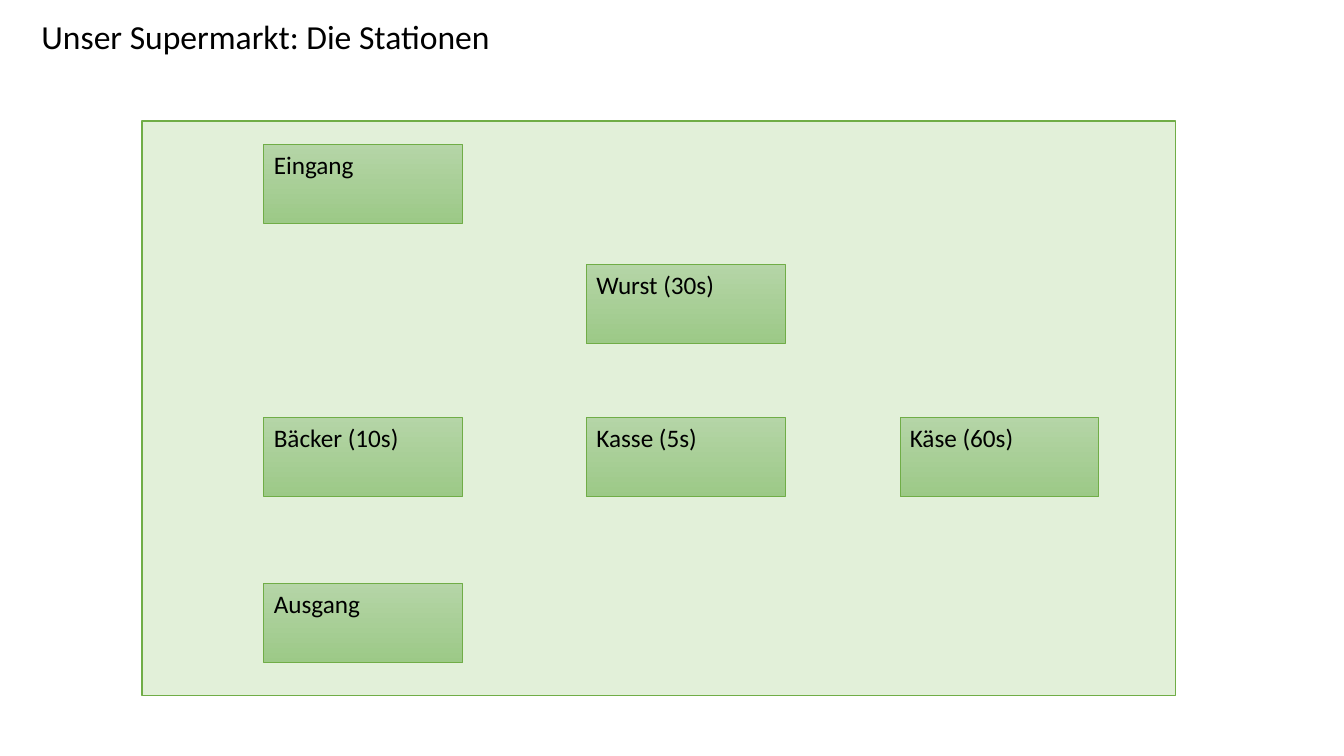
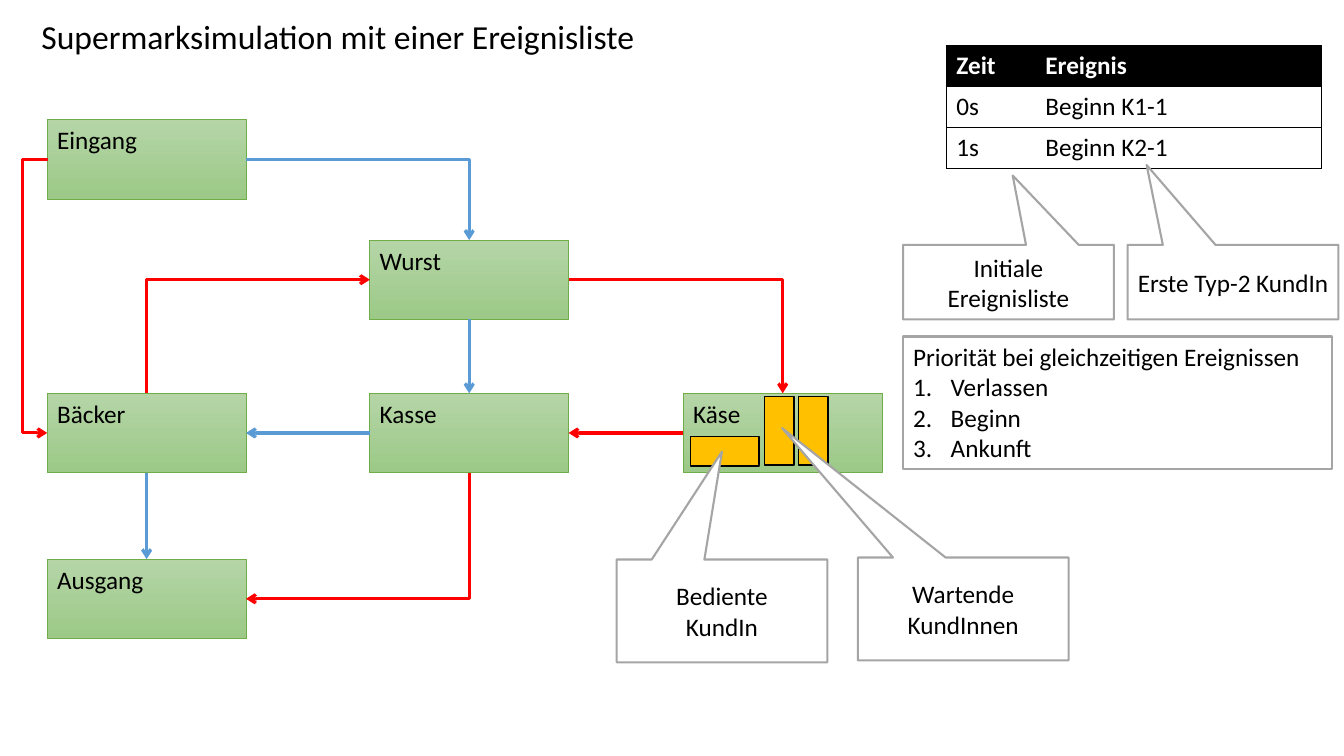
"""Build two slides on a supermarket simulation: the stations and the event list."""
from lxml.etree import SubElement
from pptx import Presentation
from pptx.dml.color import RGBColor
from pptx.enum.shapes import MSO_CONNECTOR, MSO_SHAPE
from pptx.enum.text import MSO_ANCHOR, PP_ALIGN
from pptx.oxml.ns import qn
from pptx.util import Cm, Pt

BLACK = RGBColor(0x00, 0x00, 0x00)
WHITE = RGBColor(0xFF, 0xFF, 0xFF)
GREEN = RGBColor(0x70, 0xAD, 0x47)
PALE_GREEN = RGBColor(0xE2, 0xF0, 0xD9)
GRADIENT = (RGBColor(0xB5, 0xD5, 0xA7), RGBColor(0x9C, 0xC9, 0x87))
BLUE = RGBColor(0x5B, 0x9B, 0xD5)
RED = RGBColor(0xFF, 0x00, 0x00)
GOLD = RGBColor(0xFF, 0xC0, 0x00)
GRAY = RGBColor(0xA5, 0xA5, 0xA5)
FONT = "Calibri"
PLAIN_TABLE_STYLE = "{2D5ABB26-0587-4C30-8999-92F81FD0307C}"

TITLES = ("Unser Supermarkt: Die Stationen", "Supermarksimulation mit einer Ereignisliste")
TITLE_BOX = (0.79, 0.28, 32.44, 1.4)
MARKET_BOX = (3.58, 3.05, 26.04, 14.48)

COLUMNS = (0, 8.13, 16.03)
ROWS = (0, 3.03, 6.89, 11.07)
STATION_SIZE = (5.01, 2.0)
STATIONS = {
    "Bäcker": (0, 2), "Eingang": (0, 0), "Wurst": (1, 1),
    "Käse": (2, 2), "Kasse": (1, 2), "Ausgang": (0, 3),
}
DURATIONS = {"Bäcker": " (10s)", "Wurst": " (30s)", "Käse": " (60s)", "Kasse": " (5s)"}
MARKET_ORIGIN = (6.65, 3.63)
FLOW_ORIGIN = (1.19, 3.02)

SIDES = {"left": (0, 0.5), "right": (1, 0.5), "top": (0.5, 0), "bottom": (0.5, 1)}
ROUTES = [
    ("Eingang", "right", "Wurst", "top", BLUE),
    ("Wurst", "bottom", "Kasse", "top", BLUE),
    ("Wurst", "right", "Käse", "top", RED),
    ("Käse", "left", "Kasse", "right", RED),
    ("Kasse", "left", "Bäcker", "right", BLUE),
    ("Bäcker", "bottom", "Ausgang", "top", BLUE),
    ("Bäcker", "top", "Wurst", "left", RED),
    ("Eingang", "left", "Bäcker", "left", RED),
    ("Kasse", "bottom", "Ausgang", "right", RED),
]
DETOUR = 0.62
DETOUR_OFFSET = 0.03

CUSTOMERS = [(17.4, 11, 1.73, 0.74), (19.27, 9.99, 0.74, 1.73), (20.13, 9.99, 0.74, 1.73)]
CALLOUTS = [
    ("Initiale Ereignisliste", (22.76, 6.17, 5.31, 1.88), (0.02, -1.43)),
    ("Erste Typ-2 KundIn", (28.42, 6.17, 5.31, 1.88), (-0.41, -1.57)),
    ("Bediente\nKundIn", (15.54, 14.1, 5.31, 2.59), (0, -1.55)),
    ("Wartende\nKundInnen", (21.62, 14.05, 5.31, 2.59), (-0.86, -1.76)),
]
PRIORITY_BOX = (22.76, 8.48, 10.82, 3.33)
PRIORITIES = ["Priorität bei gleichzeitigen Ereignissen", "Verlassen", "Beginn", "Ankunft"]
EVENTS = [("Zeit", "Ereignis"), ("0s", "Beginn K1-1"), ("1s", "Beginn K2-1")]
EVENT_POSITION = (23.85, 1.14)
EVENT_COLUMNS = (2.24, 7.21)
EVENT_ROW = 1.03


def lengths(values):
    return [Cm(value) for value in values]


def write(text_frame, text, size=18, color=BLACK, align=PP_ALIGN.LEFT, bold=False):
    text_frame.text = text
    for paragraph in text_frame.paragraphs:
        paragraph.alignment = align
        for run in paragraph.runs:
            font = run.font
            font.name, font.size, font.bold = FONT, Pt(size), bold
            font.color.rgb = color


def add_titled_slide(presentation, title):
    slide = presentation.slides.add_slide(presentation.slide_layouts[5])
    placeholder = slide.shapes.title
    placeholder.left, placeholder.top, placeholder.width, placeholder.height = lengths(TITLE_BOX)
    write(placeholder.text_frame, title, 24)
    placeholder.text_frame.vertical_anchor = MSO_ANCHOR.MIDDLE
    placeholder.text_frame.paragraphs[0].line_spacing = 0.9
    return slide


def add_box(slide, box, fill, line, width, kind=MSO_SHAPE.RECTANGLE):
    shape = slide.shapes.add_shape(kind, *lengths(box))
    shape.shadow.inherit = False
    if isinstance(fill, RGBColor):
        shape.fill.solid()
        shape.fill.fore_color.rgb = fill
    else:
        shape.fill.gradient()
        shape.fill.gradient_angle = 270
        for stop, color in zip(shape.fill.gradient_stops, fill):
            stop.color.rgb = color
    shape.line.color.rgb = line
    shape.line.width = Pt(width)
    shape.text_frame.word_wrap = True
    return shape


def station_corner(name, origin):
    column, row = STATIONS[name]
    return origin[0] + COLUMNS[column], origin[1] + ROWS[row]


def add_stations(slide, origin, suffixes):
    for name in STATIONS:
        shape = add_box(slide, (*station_corner(name, origin), *STATION_SIZE), GRADIENT, GREEN, 0.5)
        write(shape.text_frame, name + suffixes.get(name, ""))
        shape.text_frame.vertical_anchor = MSO_ANCHOR.TOP


def side_point(name, side):
    corner = station_corner(name, FLOW_ORIGIN)
    return [start + size * part for start, size, part in zip(corner, STATION_SIZE, SIDES[side])]


def add_route(slide, source, source_side, target, target_side, color):
    start, end = side_point(source, source_side), side_point(target, target_side)
    kind, preset, rotation = MSO_CONNECTOR.ELBOW, "bentConnector2", 0
    if source_side == target_side:
        start[0] += DETOUR_OFFSET
        preset, rotation = "bentConnector3", 180
        points = (*end, *start)
    elif start[0] == end[0] or start[1] == end[1]:
        kind, preset = MSO_CONNECTOR.STRAIGHT, "line"
        points = (*start, *end)
    elif source_side in ("top", "bottom"):
        rotation = 90
        middle_x, middle_y = (start[0] + end[0]) / 2, (start[1] + end[1]) / 2
        half_x, half_y = (end[0] - start[0]) / 2, (end[1] - start[1]) / 2
        points = (middle_x - half_y, middle_y + half_x, middle_x + half_y, middle_y - half_x)
    else:
        points = (*start, *end)
    connector = slide.shapes.add_connector(kind, *lengths(points))
    connector.line.color.rgb = color
    connector.line.width = Pt(2.25)
    properties = connector._element.spPr
    geometry = properties.find(qn("a:prstGeom"))
    geometry.set("prst", preset)
    if rotation:
        properties.find(qn("a:xfrm")).set("rot", str(rotation * 60000))
    if preset == "bentConnector3":
        ratio = round((DETOUR + DETOUR_OFFSET) / DETOUR_OFFSET * 100000)
        SubElement(geometry.find(qn("a:avLst")), qn("a:gd"), name="adj1", fmla=f"val {ratio}")
    SubElement(properties.find(qn("a:ln")), qn("a:tailEnd"), type="arrow")
    SubElement(properties, qn("a:effectLst"))


def add_callout(slide, text, box, tip):
    shape = add_box(slide, box, WHITE, GRAY, 1.5, MSO_SHAPE.RECTANGULAR_CALLOUT)
    shape.adjustments[0], shape.adjustments[1] = tip
    write(shape.text_frame, text, align=PP_ALIGN.CENTER)
    shape.text_frame.vertical_anchor = MSO_ANCHOR.MIDDLE


def add_priorities(slide):
    shape = add_box(slide, PRIORITY_BOX, WHITE, GRAY, 1.5)
    write(shape.text_frame, "\n".join(PRIORITIES))
    shape.text_frame.vertical_anchor = MSO_ANCHOR.TOP
    for paragraph in shape.text_frame.paragraphs[1:]:
        properties = paragraph._p.get_or_add_pPr()
        properties.set("marL", str(Cm(0.95)))
        properties.set("indent", str(-Cm(0.95)))
        SubElement(properties, qn("a:buFont"), typeface="+mj-lt")
        SubElement(properties, qn("a:buAutoNum"), type="arabicPeriod")


def add_border(cell, edge):
    line = SubElement(cell._tc.get_or_add_tcPr(), qn(f"a:ln{edge}"), w=str(Pt(0.5)))
    fill = SubElement(line, qn("a:solidFill"))
    SubElement(fill, qn("a:srgbClr"), val=str(BLACK))


def add_events(slide):
    size = (sum(EVENT_COLUMNS), EVENT_ROW * len(EVENTS))
    frame = slide.shapes.add_table(len(EVENTS), len(EVENT_COLUMNS), *lengths(EVENT_POSITION + size))
    table = frame.table
    table._tbl.tblPr.find(qn("a:tableStyleId")).text = PLAIN_TABLE_STYLE
    for column, width in zip(table.columns, EVENT_COLUMNS):
        column.width = Cm(width)
    for row_index, row in enumerate(EVENTS):
        header = row_index == 0
        table.rows[row_index].height = Cm(EVENT_ROW)
        for column_index, text in enumerate(row):
            cell = table.cell(row_index, column_index)
            write(cell.text_frame, text, color=WHITE if header else BLACK, bold=header)
            for edge in ("L" if column_index == 0 else "R", "T", "B"):
                add_border(cell, edge)
            cell.fill.solid()
            cell.fill.fore_color.rgb = BLACK if header else WHITE


def main():
    presentation = Presentation()
    presentation.slide_width, presentation.slide_height = Cm(33.87), Cm(19.05)

    market = add_titled_slide(presentation, TITLES[0])
    add_box(market, MARKET_BOX, PALE_GREEN, GREEN, 1)
    add_stations(market, MARKET_ORIGIN, DURATIONS)

    flow = add_titled_slide(presentation, TITLES[1])
    add_stations(flow, FLOW_ORIGIN, {})
    add_events(flow)
    for route in ROUTES:
        add_route(flow, *route)
    for box in CUSTOMERS:
        add_box(flow, box, GOLD, BLACK, 1)
    for callout in CALLOUTS:
        add_callout(flow, *callout)
    add_priorities(flow)
    presentation.save("out.pptx")


main()
